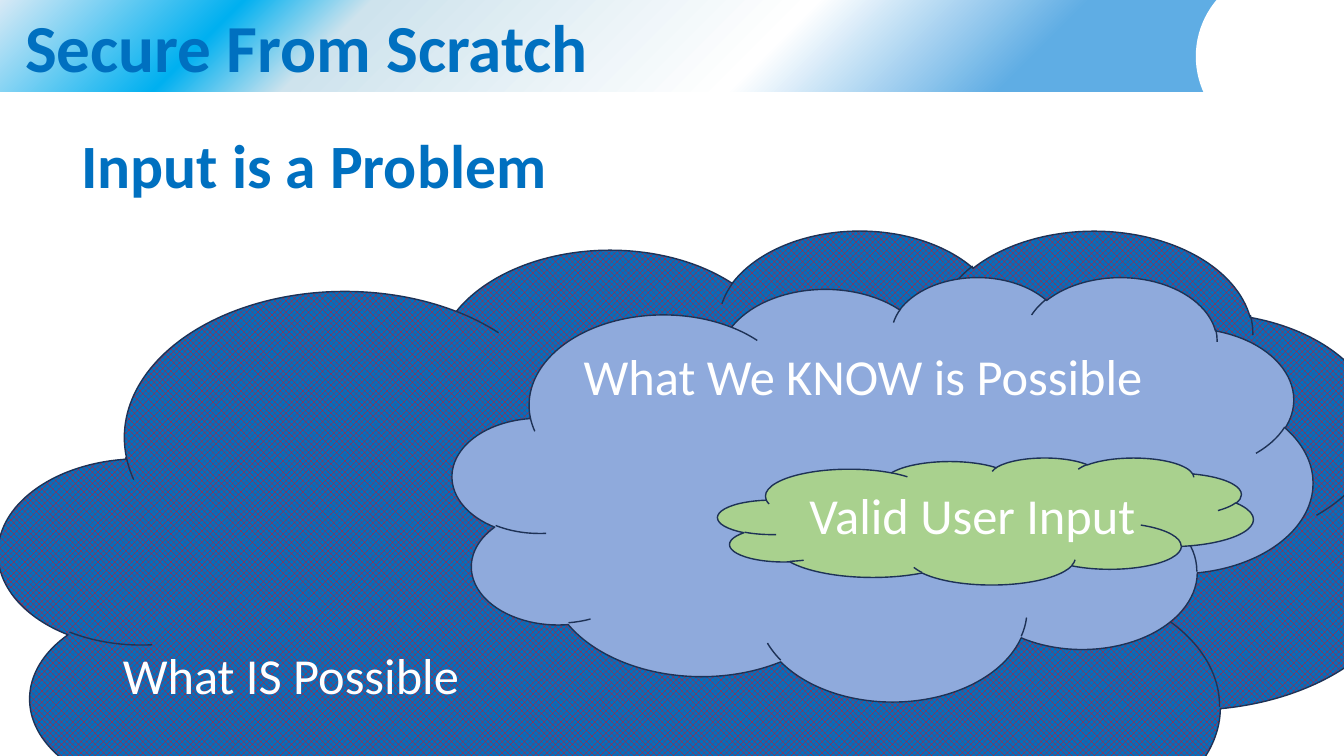
from pptx import Presentation
from pptx.dml.color import RGBColor
from pptx.enum.dml import MSO_PATTERN
from pptx.enum.shapes import MSO_SHAPE as Shape
from pptx.enum.text import MSO_ANCHOR as Anchor, PP_ALIGN as Align
from pptx.oxml import parse_xml
from pptx.oxml.ns import nsdecls, qn
from pptx.util import Pt

PX = 9144  # 100 px to the inch
BLUE, NAVY, WHITE = "0070C0", "1E3256", "FFFFFF"


def rgb(code):
    return RGBColor.from_string(code)


def write(frame, text, size, color, bold=False):
    para = frame.paragraphs[0]
    para.text, para.alignment = text, Align.LEFT
    look = {"name": "Calibri", "size": Pt(size), "bold": bold}
    for key, value in look.items():
        setattr(para.font, key, value)
    para.font.color.rgb = rgb(color)
    return para


deck = Presentation()
deck.slide_width, deck.slide_height = 1333 * PX, 750 * PX
shapes = deck.slides.add_slide(deck.slide_layouts[6]).shapes

# Banner with its slanted gradient and the round cut at the right
banner = shapes.add_shape(Shape.RECTANGLE, 0, 0, 1333 * PX, 91 * PX)
banner.shadow.inherit = False
banner.line.fill.background()
banner.fill.gradient()
banner.fill.gradient_angle = 135
stops = banner._element.spPr.find(".//" + qn("a:gsLst"))
for old in list(stops):
    stops.remove(old)
for place, color in [(24, "5FADE4"), (43, WHITE), (74, "CEE3ED"),
                     (83, "00B0F0"), (100, "D7E9F5")]:
    stops.append(parse_xml(f'<a:gs {nsdecls("a")} pos="{place * 1000}">'
                           f'<a:srgbClr val="{color}"/></a:gs>'))
frame = banner.text_frame
frame.vertical_anchor = Anchor.TOP
frame.margin_left = 25 * PX
write(frame, "Secure From Scratch", 48, BLUE, True)

cut = shapes.add_shape(Shape.OVAL, 1186 * PX, -31 * PX, 175 * PX, 174 * PX)
cut.shadow.inherit = False
cut.fill.solid()
cut.fill.fore_color.rgb = rgb(WHITE)
cut.line.fill.background()

# Slide title
title = shapes.add_textbox(71 * PX, 104 * PX, 1262 * PX, 126 * PX).text_frame
title.word_wrap = True
title.vertical_anchor = Anchor.MIDDLE
write(title, "Input is a Problem", 44, BLUE, True).line_spacing = 0.9

# Nested clouds, widest first: cloud box, fill (None = pattern), label, label box
clouds = [
    ((-1, 227, 1399, 681), None, "What IS Possible", (112, 634, 357, 71)),
    ((449, 274, 853, 421), "8FAADC", "What We KNOW is Possible", (569, 337, 580, 71)),
    ((712, 454, 531, 126), "A9D18E", "Valid User Input", (793, 475, 346, 71)),
]
for box, color, label, spot in clouds:
    cloud = shapes.add_shape(Shape.CLOUD, *[n * PX for n in box])
    cloud.shadow.inherit = False
    fill = cloud.fill
    if color:
        fill.solid()
        fill.fore_color.rgb = rgb(color)
    else:
        fill.patterned()
        fill.pattern = MSO_PATTERN.SOLID_DIAMOND
        fill.fore_color.rgb = rgb("FF0000")
        fill.back_color.rgb = rgb(BLUE)
    cloud.line.color.rgb = rgb(NAVY)
    cloud.line.width = Pt(1)
    frame = shapes.add_textbox(*[n * PX for n in spot]).text_frame
    frame.word_wrap = False
    write(frame, label, 36, WHITE)

deck.save("out.pptx")
